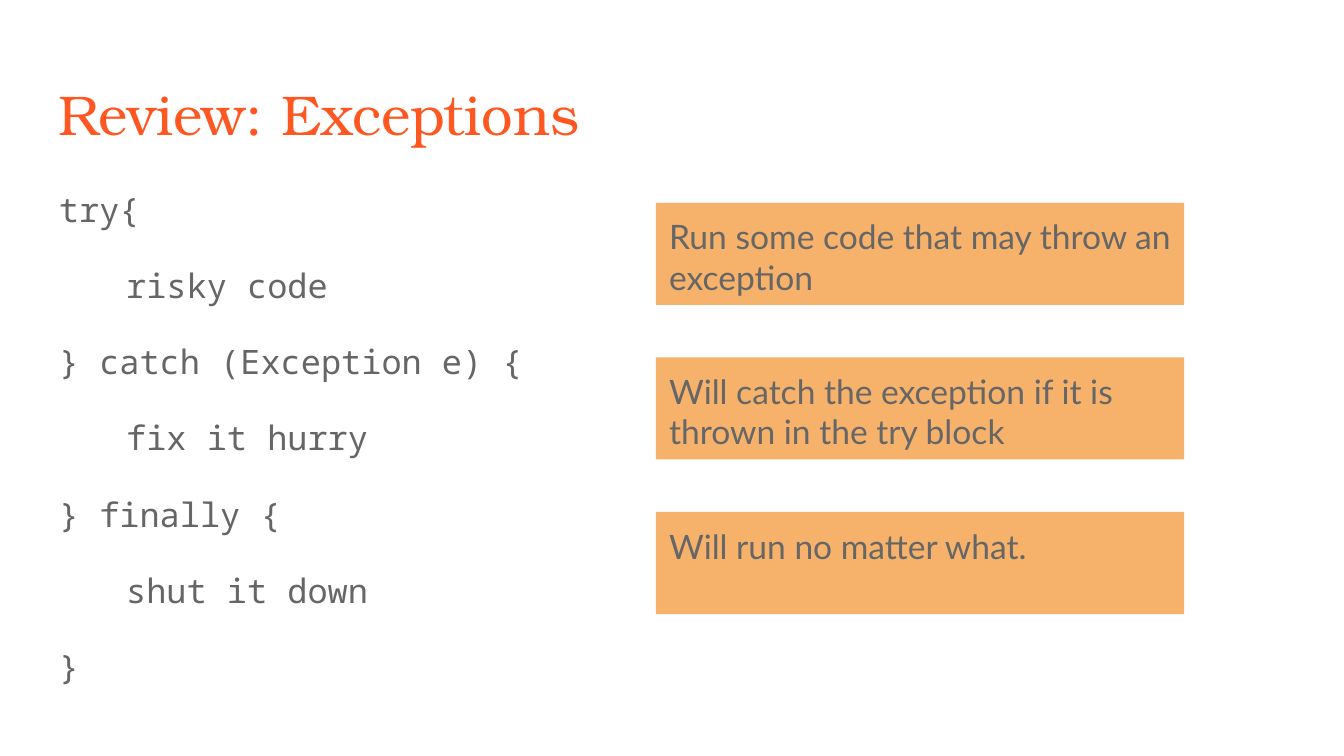
import dataclasses

import pptx
import pptx.dml.color
import pptx.enum.shapes
import pptx.enum.text
import pptx.util

Pt = pptx.util.Pt
RGB = pptx.dml.color.RGBColor.from_string


@dataclasses.dataclass(frozen=True)
class Theme:
    heading: str = "FF5722"
    ink: str = "666666"
    note_fill: str = "F6B26B"
    heading_font: str = "TeX Gyre Bonum"
    code_font: str = "Noto Sans Mono"
    note_font: str = "Lato"
    heading_size: int = 30
    text_size: int = 18
    inset: float = 7.2


THEME = Theme()

CODE_LINES = [
    "try{",
    "\trisky code",
    "} catch (Exception e) {",
    "\tfix it hurry",
    "} finally {",
    "\tshut it down",
    "}",
]
NOTES = [
    "Run some code that may throw an exception",
    "Will catch the exception if it is thrown in the try block",
    "Will run no matter what.",
]


def write_text(shape, lines, *, font, size, color, line_spacing=1.0, gap=0):
    """Fill a shape with left-aligned paragraphs, gap points apart."""
    frame = shape.text_frame
    frame.word_wrap = True
    frame.vertical_anchor = pptx.enum.text.MSO_ANCHOR.TOP
    frame.margin_left = frame.margin_right = Pt(THEME.inset)
    frame.margin_top = frame.margin_bottom = Pt(THEME.inset)
    for index, line in enumerate(lines):
        paragraph = frame.paragraphs[0] if index == 0 else frame.add_paragraph()
        paragraph.alignment = pptx.enum.text.PP_ALIGN.LEFT
        paragraph.line_spacing = line_spacing
        paragraph.space_before = Pt(gap if index else 0)
        run = paragraph.add_run()
        run.text = line
        run.font.name = font
        run.font.size = Pt(size)
        run.font.color.rgb = RGB(color)


def add_text(slide, left, top, width, height, lines, **text_format):
    box = slide.shapes.add_textbox(Pt(left), Pt(top), Pt(width), Pt(height))
    write_text(box, lines, **text_format)


def add_note(slide, left, top, width, height, text):
    note = slide.shapes.add_shape(
        pptx.enum.shapes.MSO_SHAPE.RECTANGLE,
        Pt(left), Pt(top), Pt(width), Pt(height))
    note.shadow.inherit = False
    note.fill.solid()
    note.fill.fore_color.rgb = RGB(THEME.note_fill)
    note.line.fill.background()
    write_text(note, [text], font=THEME.note_font, size=THEME.text_size,
               color=THEME.ink)


def main():
    deck = pptx.Presentation()
    deck.slide_width, deck.slide_height = Pt(720), Pt(405)
    slide = deck.slides.add_slide(deck.slide_layouts[6])

    # Heading
    add_text(slide, 24.5, 35.3, 671, 45.4, ["Review: Exceptions"],
             font=THEME.heading_font, size=THEME.heading_size,
             color=THEME.heading)

    # Code
    add_text(slide, 24.5, 90.7, 671, 269.3, CODE_LINES,
             font=THEME.code_font, size=THEME.text_size, color=THEME.ink,
             line_spacing=1.15, gap=16)

    # Notes, one beside each block of the code
    first_top, pitch = 108.7, 82.8
    for index, note in enumerate(NOTES):
        add_note(slide, 351.4, first_top + index * pitch, 283, 54.7, note)

    deck.save("out.pptx")


if __name__ == "__main__":
    main()
